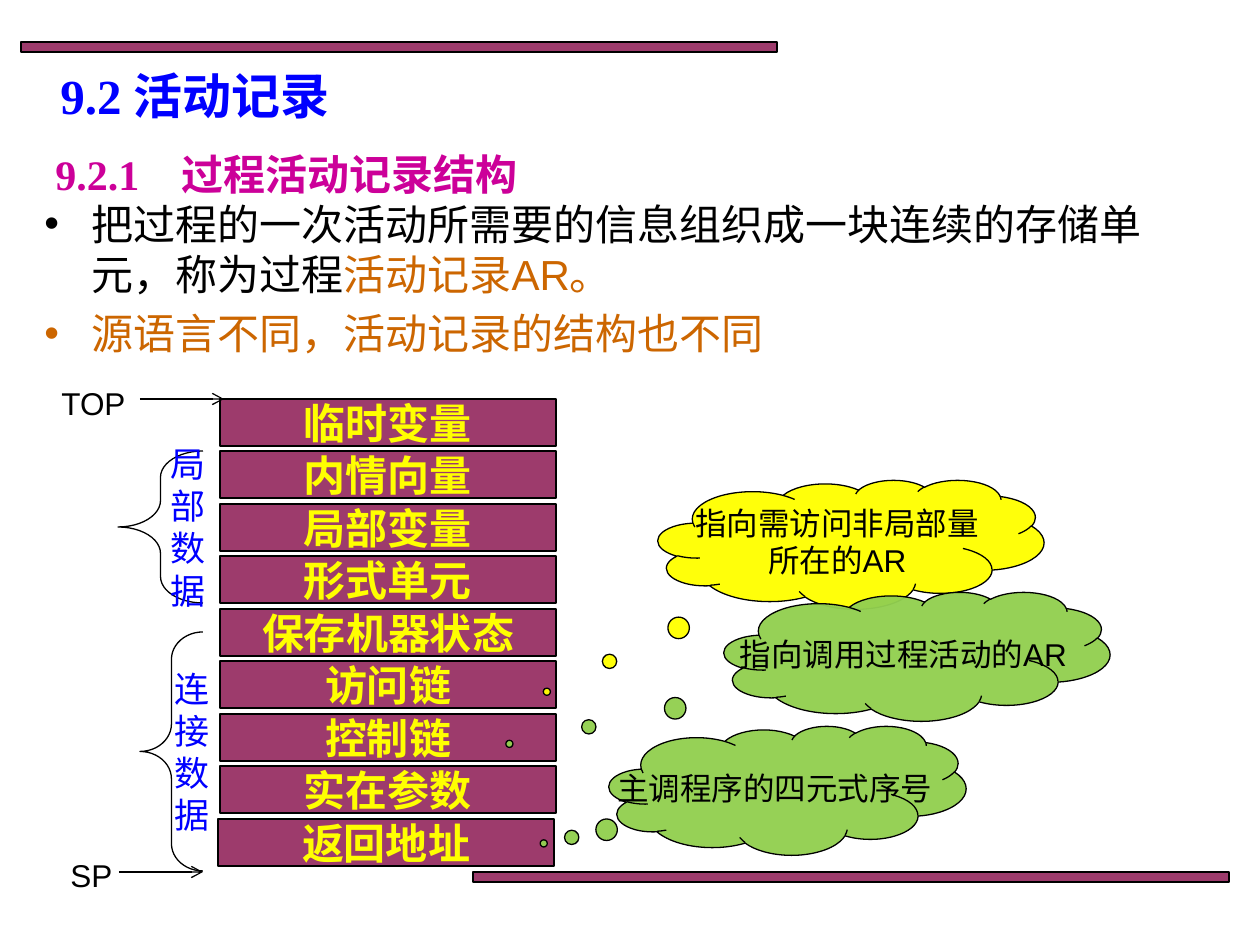
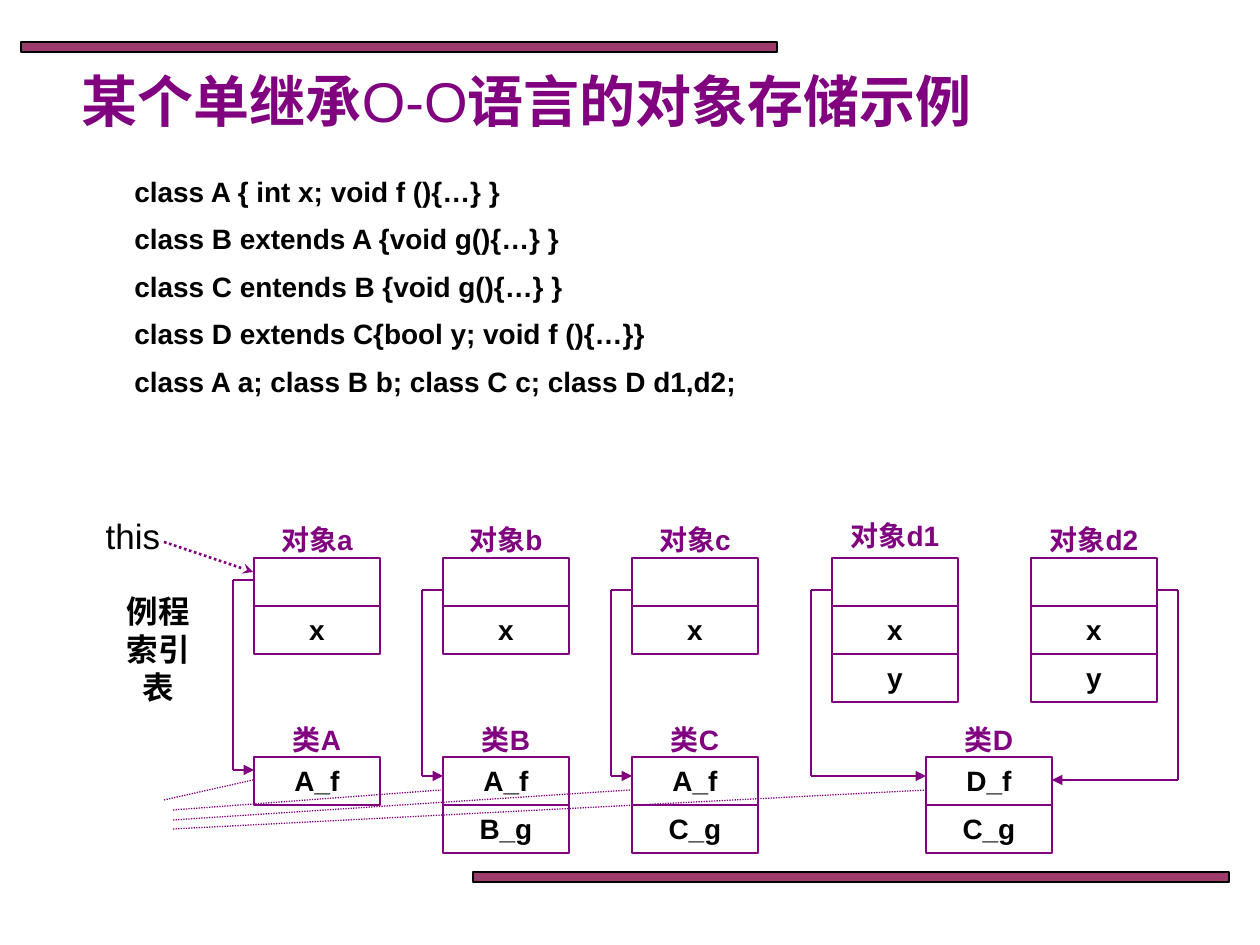
import pptx
import pptx.dml.color
import pptx.enum.dml
import pptx.enum.shapes
import pptx.enum.text
import pptx.oxml
import pptx.oxml.ns
import pptx.util

SCALE = 914400 / 126  # EMU in one px
HUES = {
    "black": "000000", "plum": "993366", "blue": "0000FF", "pink": "CC0099",
    "orange": "CC6600", "yellow": "FFFF00", "green": "92D050", "purple": "800080",
}
KIND = pptx.enum.shapes.MSO_SHAPE
ALIGN = pptx.enum.text.PP_ALIGN
ANCHOR = pptx.enum.text.MSO_ANCHOR

BANDS = [(21, 42, 756, 10), (473, 872, 756, 10)]

# Slide 1: activation record
HEAD = "9.2 活动记录"
SUBHEAD = "9.2.1　过程活动记录结构"
POINTS = [
    ["把过程的一次活动所需要的信息组织成一块连续的存储单元，称为过程",
     ("活动记录AR。", "orange")],
    [("源语言不同，活动记录的结构也不同", "orange")],
]
FIELDS = ["临时变量", "内情向量", "局部变量", "形式单元", "保存机器状态",
          "访问链", "控制链", "实在参数", "返回地址"]
CLOUDS = [
    (["主调程序的四元式序号"], "green", (609, 726, 357, 129), (-0.683, 0.411)),
    (["指向需访问非局部量", "所在的AR"], "yellow", (658, 480, 386, 129), (-0.788, 1.142)),
    (["指向调用过程活动的AR"], "green", (724, 592, 386, 129), (-1.056, 0.678)),
]
BRACES = [("连接数据", (140, 632, 63, 239), 0.435),
          ("局部数据", (118, 451, 85, 152), 0.31)]
MARKS = [("SP", (48, 850, 87, 50), (119, 872)),
         ("TOP", (32, 378, 123, 50), (140, 399))]

# Slide 2: object layout
TITLE = [["某个单继承", ("O-O", "purple", False), "语言的对象存储示例"]]
CODE = [
    "class A { int x; void f (){…} }",
    "class B extends A {void g(){…} }",
    "class C entends B {void g(){…} }",
    "class D extends C{bool y; void f (){…}}",
    "class A a; class B b; class C c; class D d1,d2;",
]
# caption, left, caption top, top, cells
STACKS = [
    ("对象a", 254, 516, 558, ["", "x"]),
    ("对象b", 443, 516, 558, ["", "x"]),
    ("对象c", 632, 516, 558, ["", "x"]),
    ("对象d1", 832, 512, 558, ["", "x", "y"]),
    ("对象d2", 1031, 516, 558, ["", "x", "y"]),
    ("类A", 254, 716, 757, ["A_f"]),
    ("类B", 443, 716, 757, ["A_f", "B_g"]),
    ("类C", 632, 716, 757, ["A_f", "C_g"]),
    ("类D", 926, 716, 757, ["D_f", "C_g"]),
]
CELL_W, CELL_H = 126, 48
# start x, bend x, end x, start y, end y
ROUTES = [
    (254, 233, 254, 580, 770),
    (443, 422, 443, 590, 776),
    (632, 611, 632, 590, 776),
    (832, 811, 926, 590, 776),
    (1157, 1178, 1052, 590, 780),
]
DOTS = [(164, 800, 253, 780), (173, 810, 441, 790),
        (173, 820, 630, 790), (173, 829, 927, 790)]


def px(*sizes):
    return [round(size * SCALE) for size in sizes]


def hue(name):
    return pptx.dml.color.RGBColor.from_string(HUES[name])


def tag(name, attrs=""):
    space = pptx.oxml.ns.nsdecls("a")
    return pptx.oxml.parse_xml(f"<a:{name} {space} {attrs}/>")


def shape(slide, kind, box, fill=None, line="black", adjust=()):
    item = slide.shapes.add_shape(kind, *px(*box))
    item.shadow.inherit = False
    for i, value in enumerate(adjust):
        item.adjustments[i] = value
    if fill:
        item.fill.solid()
        item.fill.fore_color.rgb = hue(fill)
        mark = item.element.spPr.find(".//" + pptx.oxml.ns.qn("a:srgbClr"))
        mark.append(tag("alpha", 'val="96000"'))
    else:
        item.fill.background()
    item.line.color.rgb = hue(line)
    item.line.width = pptx.util.Pt(0.75)
    return item


def line(slide, ends, color="black", width=0.75, dotted=False, tip=None):
    item = slide.shapes.add_connector(
        pptx.enum.shapes.MSO_CONNECTOR.STRAIGHT, *px(*ends))
    item.line.color.rgb = hue(color)
    item.line.width = pptx.util.Pt(width)
    if dotted:
        item.line.dash_style = pptx.enum.dml.MSO_LINE.ROUND_DOT
    props = item.element.spPr
    if tip:
        props.find(pptx.oxml.ns.qn("a:ln")).append(tag("tailEnd", f'type="{tip}"'))
    props.append(tag("effectLst"))


def write(item, paras, size=16, color="black", bold=False, font="Arial",
          align=ALIGN.CENTER, anchor=ANCHOR.TOP, wrap=True, gap=0, bullet=False):
    """Fill a shape; a paragraph is a string or a list of runs (text, color, bold)."""
    frame = item.text_frame
    frame.word_wrap = wrap
    frame.vertical_anchor = anchor
    for i, para in enumerate(paras):
        block = frame.add_paragraph() if i else frame.paragraphs[0]
        block.alignment = align
        if i and gap:
            block.space_before = pptx.util.Pt(gap)
        if bullet:
            props = block._p.get_or_add_pPr()
            props.set("marL", "342900")
            props.set("indent", "-342900")
            props.append(tag("buFont", f'typeface="{font}"'))
            props.append(tag("buChar", 'char="•"'))
        for part in [para] if isinstance(para, str) else para:
            words, *own = (part,) if isinstance(part, str) else part
            run = block.add_run()
            run.text = words
            run.font.name = font
            run.font.size = pptx.util.Pt(size)
            run.font.color.rgb = hue(own[0] if own else color)
            run.font.bold = own[1] if len(own) > 1 else bold


def text(slide, box, paras, **form):
    write(slide.shapes.add_textbox(*px(*box)), paras, **form)


def start(deck):
    """Add a blank slide with the shared bands."""
    slide = deck.slides.add_slide(deck.slide_layouts[6])
    for box in BANDS:
        shape(slide, KIND.RECTANGLE, box, "plum")
    return slide


def record(deck):
    slide = start(deck)
    heading = dict(bold=True, font="Times New Roman", align=ALIGN.LEFT, anchor=ANCHOR.MIDDLE)
    label = dict(anchor=ANCHOR.MIDDLE, wrap=False)
    text(slide, (48, 53, 1134, 84), [HEAD], size=28, color="blue", **heading)
    text(slide, (32, 192, 1134, 624), POINTS, size=24, align=ALIGN.LEFT, gap=4.8, bullet=True)
    for i, name in enumerate(FIELDS):
        left = 218 if name == FIELDS[-1] else 220
        field = shape(slide, KIND.RECTANGLE, (left, 399 + i * 105 // 2, 336, 47), "plum")
        write(field, [name], size=24, color="yellow", bold=True, **label)
    for paras, fill, box, tail in CLOUDS:
        cloud = shape(slide, KIND.CLOUD_CALLOUT, box, fill, adjust=tail)
        write(cloud, paras, size=18, **label)
    for name, box, curve in BRACES:
        brace = shape(slide, KIND.LEFT_BRACE, box, adjust=(curve, 0.5))
        write(brace, list(name), size=20, color="blue", **label)
    for name, box, (x, y) in MARKS:
        line(slide, (x, y, x + 84, y), tip="arrow")
        text(slide, box, [name], size=18)
    text(slide, (43, 137, 808, 73), [SUBHEAD], size=24, color="pink", **heading)


def objects(deck):
    slide = start(deck)
    text(slide, (69, 60, 1052, 79), TITLE, size=32, color="purple", bold=True, align=ALIGN.LEFT)
    text(slide, (122, 168, 851, 248), CODE, bold=True, align=ALIGN.LEFT, gap=8)
    for name, left, above, top, cells in STACKS:
        text(slide, (left, above, CELL_W, 47), [name], color="purple", bold=True)
        for i, word in enumerate(cells):
            box = (left, top + i * CELL_H, CELL_W, CELL_H)
            cell = shape(slide, KIND.RECTANGLE, box, line="purple")
            if word:
                write(cell, [word], bold=True)
    for x, bend, end, y, low in ROUTES:
        line(slide, (x, y, bend, y), "purple")
        line(slide, (bend, y, bend, low), "purple")
        line(slide, (bend, low, end, low), "purple", tip="triangle")
    text(slide, (114, 586, 89, 265), ["例程索引表"], size=18, bold=True)
    for ends in DOTS:
        line(slide, ends, "purple", dotted=True)
    text(slide, (78, 508, 110, 54), ["this"], size=20)
    line(slide, (164, 542, 253, 572), "purple", 1.5, dotted=True, tip="stealth")


def main():
    deck = pptx.Presentation()
    deck.slide_width, deck.slide_height = px(1260, 945)
    record(deck)
    objects(deck)
    deck.save("out.pptx")


if __name__ == "__main__":
    main()
